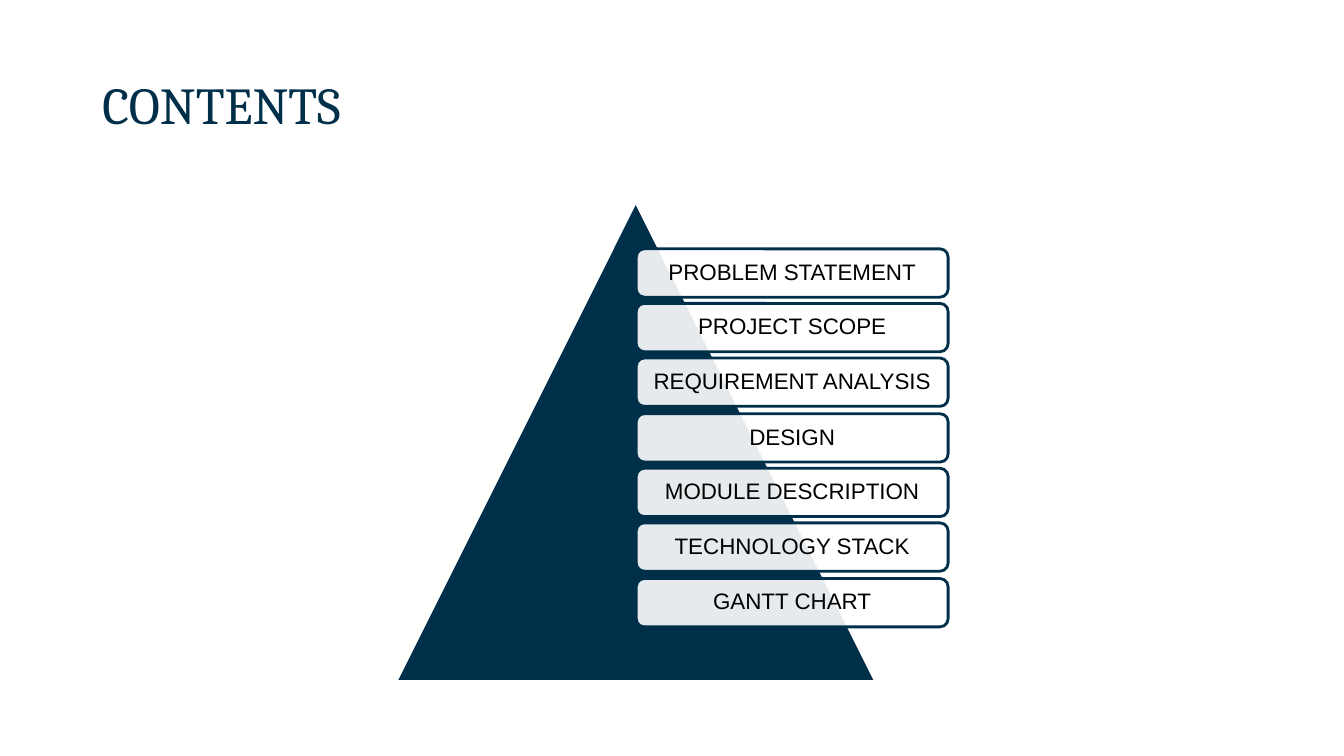
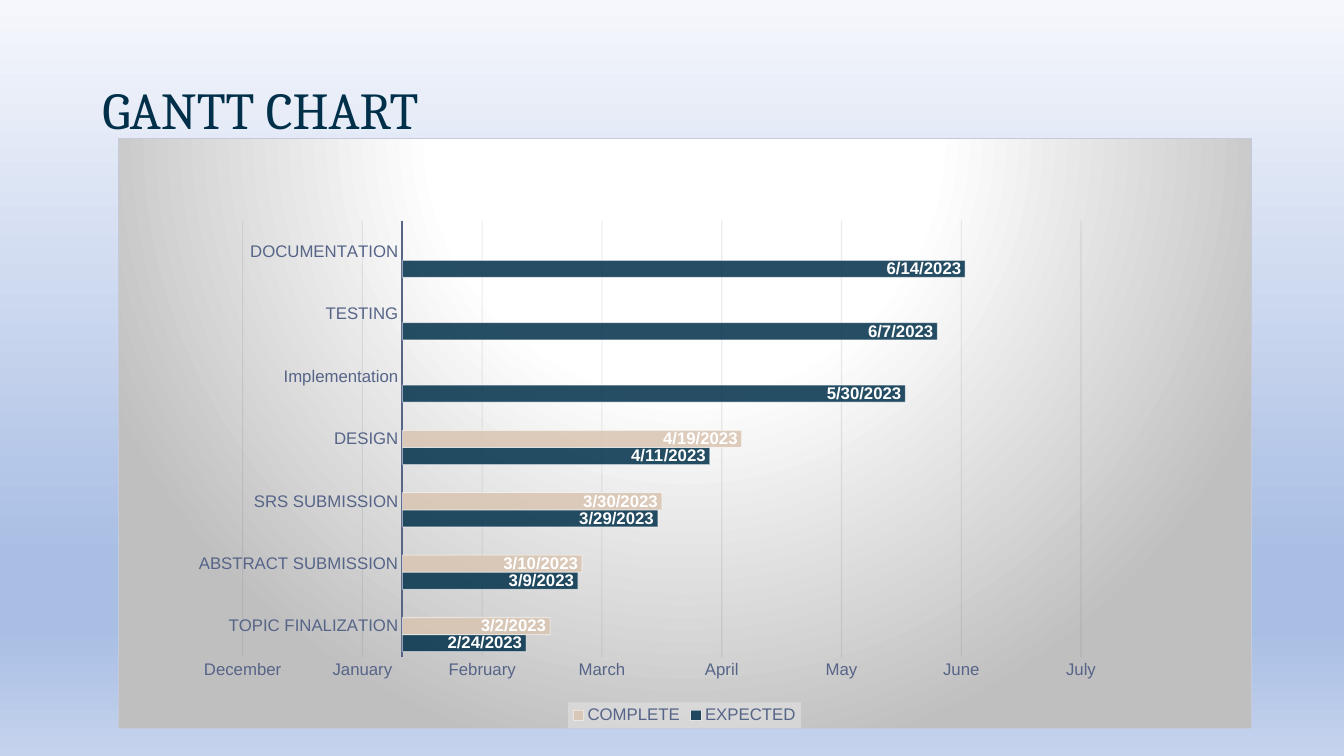
from lxml.etree import SubElement
from pptx import Presentation
from pptx.chart.data import CategoryChartData
from pptx.dml.color import RGBColor
from pptx.enum.chart import XL_CHART_TYPE, XL_LABEL_POSITION, XL_LEGEND_POSITION, XL_TICK_MARK
from pptx.enum.shapes import MSO_SHAPE
from pptx.enum.text import MSO_ANCHOR, PP_ALIGN
from pptx.oxml import parse_xml
from pptx.oxml.ns import nsdecls, qn
from pptx.util import Pt

PX = 9525
COLORS = {
    "navy": "002F4A", "white": "FFFFFF", "black": "000000", "axis": "566488",
    "text": "31394D", "grid": "384259", "tan": "D9C4B1", "cream": "EDE3DA",
    "border": "C4CADA", "gray": "BFBFBF", "legend": "F2F2F2",
    "sky_top": "F5F7FC", "sky_mid": "A9BEE4", "sky_low": "C5D3ED",
}
RGB = {name: RGBColor.from_string(value) for name, value in COLORS.items()}


def set_alpha(element, percent):
    for clr in element.iter(qn("a:srgbClr")):
        SubElement(clr, qn("a:alpha"), val=str(percent * 1000))


def gradient_xml(stops, direction):
    gs = "".join(
        f'<a:gs pos="{pos * 1000}"><a:srgbClr val="{COLORS[name]}"/></a:gs>' for pos, name in stops
    )
    return f'<a:gradFill {nsdecls("a")} rotWithShape="1"><a:gsLst>{gs}</a:gsLst>{direction}</a:gradFill>'


prs = Presentation()
prs.slide_width, prs.slide_height = 1280 * PX, 720 * PX

for title, top in (("CONTENTS", 33), ("GANTT CHART", 38)):
    s = prs.slides.add_slide(prs.slide_layouts[5])
    sp = s.shapes.title
    sp.left, sp.top, sp.width, sp.height = 88 * PX, top * PX, 1104 * PX, 139 * PX
    tf = sp.text_frame
    tf.text = title
    tf.vertical_anchor = MSO_ANCHOR.MIDDLE
    p = tf.paragraphs[0]
    p.alignment = PP_ALIGN.LEFT
    p.line_spacing = 0.9
    p.font.name, p.font.size = "Cambria", Pt(37)
    p.font.color.rgb = RGB["navy"]
contents, gantt = prs.slides

sp = contents.shapes.add_shape(
    MSO_SHAPE.ISOSCELES_TRIANGLE, 377 * PX, 192 * PX, 457 * PX, 457 * PX)
sp.shadow.inherit = False
sp.fill.solid()
sp.fill.fore_color.rgb = RGB["navy"]
sp.line.color.rgb = RGB["white"]
sp.line.width = Pt(2)

topics = ["PROBLEM STATEMENT", "PROJECT SCOPE", "REQUIREMENT ANALYSIS", "DESIGN",
          "MODULE DESCRIPTION", "TECHNOLOGY STACK", "GANTT CHART"]
for i, topic in enumerate(topics):
    top = 237 + i * 314 // 6
    sp = contents.shapes.add_shape(
        MSO_SHAPE.ROUNDED_RECTANGLE, 606 * PX, top * PX, 297 * PX, 46 * PX)
    sp.shadow.inherit = False
    sp.fill.solid()
    sp.fill.fore_color.rgb = RGB["white"]
    set_alpha(sp.element.spPr, 90)
    sp.line.color.rgb = RGB["navy"]
    sp.line.width = Pt(2)
    tf = sp.text_frame
    tf.margin_left = tf.margin_right = tf.margin_top = tf.margin_bottom = 7 * PX
    tf.vertical_anchor = MSO_ANCHOR.MIDDLE
    tf.text = topic
    p = tf.paragraphs[0]
    p.alignment = PP_ALIGN.CENTER
    p.line_spacing = 0.9
    p.font.name, p.font.size = "Arial", Pt(16)
    p.font.color.rgb = RGB["black"]

gantt.background.fill.solid()
bg = gantt.element.find(".//" + qn("p:bgPr"))
sky = [(0, "sky_top"), (74, "sky_mid"), (83, "sky_mid"), (100, "sky_low")]
bg.replace(bg[0], parse_xml(gradient_xml(sky, '<a:lin ang="5400000" scaled="1"/>')))

data = CategoryChartData(number_format="m/d/yyyy")
data.categories = ["TOPIC FINALIZATION", "ABSTRACT SUBMISSION", "SRS SUBMISSION", "DESIGN",
                   "Implementation", "TESTING", "DOCUMENTATION"]
data.add_series("EXPECTED", [44981, 44994, 45014, 45027, 45076, 45084, 45091])
data.add_series("COMPLETE", [44987, 44995, 45015, 45035, None, None, None])
data.add_series("Column1", [None] * 7)
chart = gantt.shapes.add_chart(
    XL_CHART_TYPE.BAR_CLUSTERED, 112 * PX, 131 * PX, 1080 * PX, 563 * PX, data).chart
chart.has_title = False
chart.font.name, chart.font.size = "Arial", Pt(10)
chart.font.color.rgb = RGB["text"]

plot = chart.plots[0]
plot.gap_width, plot.overlap = 65, 0
plot.vary_by_categories = False
for series, color in zip(plot.series, ("navy", "tan", "cream")):
    fmt = series.format
    fmt.fill.solid()
    fmt.fill.fore_color.rgb = RGB[color]
    set_alpha(series._element.find(qn("c:spPr")), 85)
    fmt.line.color.rgb = RGB["white"]
    fmt.line.width = Pt(0.75)
    set_alpha(series._element.find(qn("c:spPr")).find(qn("a:ln")), 50)
    labels = series.data_labels
    labels.show_value = True
    labels.position = XL_LABEL_POSITION.INSIDE_END
    labels.number_format, labels.number_format_is_linked = "m/d/yyyy", False
    labels.font.name, labels.font.size, labels.font.bold = "Arial", Pt(12), True
    labels.font.color.rgb = RGB["white"]

cat_axis, val_axis = chart.category_axis, chart.value_axis
chart.has_legend = True
legend = chart.legend
legend.position = XL_LEGEND_POSITION.BOTTOM
legend.include_in_layout = False
for part in (cat_axis.tick_labels, val_axis.tick_labels, legend):
    part.font.name, part.font.size = "Arial", Pt(12)
    part.font.color.rgb = RGB["axis"]
for axis in (cat_axis, val_axis):
    axis.major_tick_mark = axis.minor_tick_mark = XL_TICK_MARK.NONE
cat_axis.format.line.color.rgb = RGB["axis"]
cat_axis.format.line.width = Pt(1.5)
val_axis.format.line.fill.background()
val_axis.minimum_scale, val_axis.maximum_scale = 44910, 45120
val_axis.major_unit = 30
val_axis.crosses_at = 44950
val_axis.tick_labels.number_format = "mmmm"
val_axis.tick_labels.number_format_is_linked = False
grid = val_axis.major_gridlines.format.line
grid.color.rgb = RGB["grid"]
grid.width = Pt(0.75)
set_alpha(val_axis._element.find(qn("c:majorGridlines")), 10)

legend_xml = legend._element
legend_xml.find(qn("c:legendPos")).addnext(parse_xml(
    f'<c:legendEntry {nsdecls("c")}><c:idx val="0"/><c:delete val="1"/></c:legendEntry>'))
legend_xml.find(qn("c:txPr")).addprevious(parse_xml(
    f'<c:spPr {nsdecls("c", "a")}><a:solidFill><a:srgbClr val="{COLORS["legend"]}">'
    '<a:alpha val="39000"/></a:srgbClr></a:solidFill></c:spPr>'))

space = chart._chartSpace
glow = gradient_xml(
    [(0, "white"), (39, "white"), (100, "gray")],
    '<a:path path="circle"><a:fillToRect l="50000" t="-80000" r="50000" b="180000"/></a:path>')
space.find(qn("c:txPr")).addprevious(parse_xml(
    f'<c:spPr {nsdecls("c", "a")}>{glow}<a:ln w="9525"><a:solidFill>'
    f'<a:srgbClr val="{COLORS["border"]}"/></a:solidFill></a:ln></c:spPr>'))

area = space.find(".//" + qn("c:plotArea"))
for old in area.findall(qn("c:layout")):
    area.remove(old)
frame = "".join(
    f'<c:{tag} val="{val}"/>' for tag, val in (
        ("layoutTarget", "inner"), ("xMode", "edge"), ("yMode", "edge"),
        ("x", 0.11), ("y", 0.14), ("w", 0.74), ("h", 0.74)))
area.insert(0, parse_xml(
    f'<c:layout {nsdecls("c")}><c:manualLayout>{frame}</c:manualLayout></c:layout>'))

prs.save("out.pptx")
